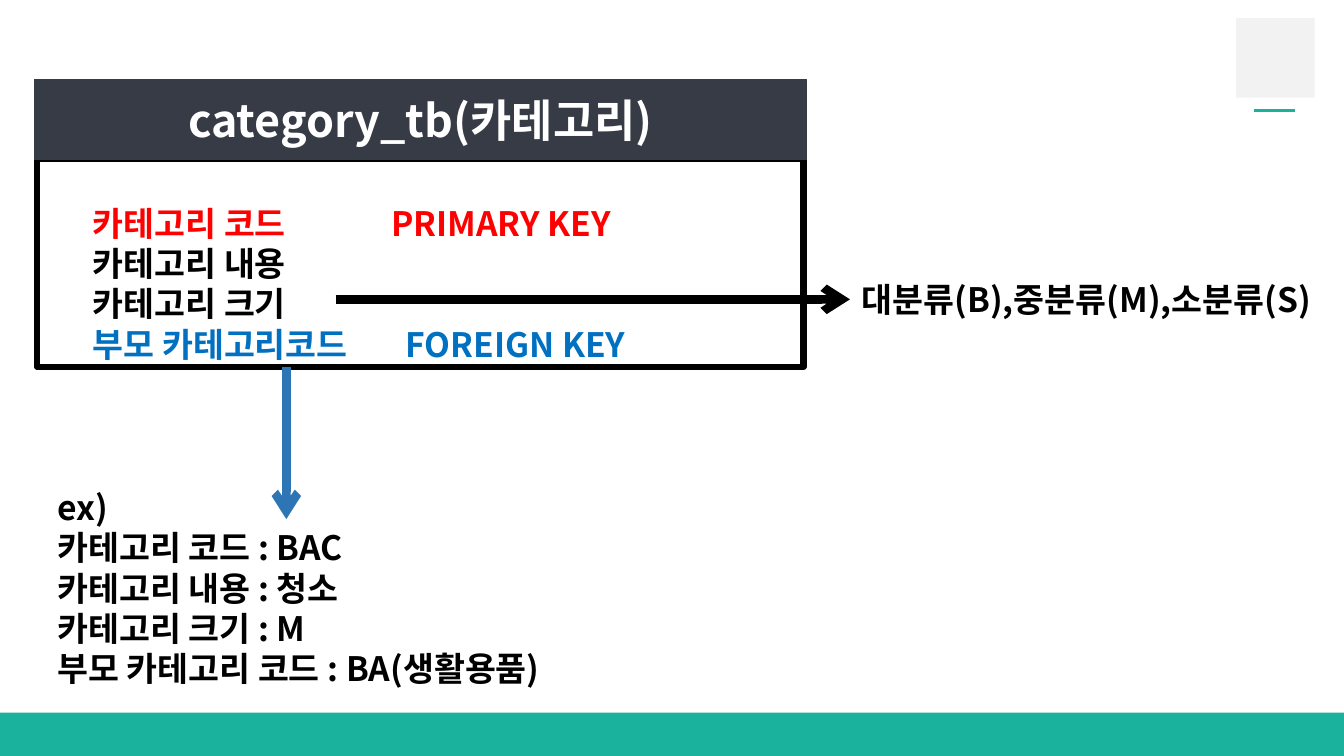
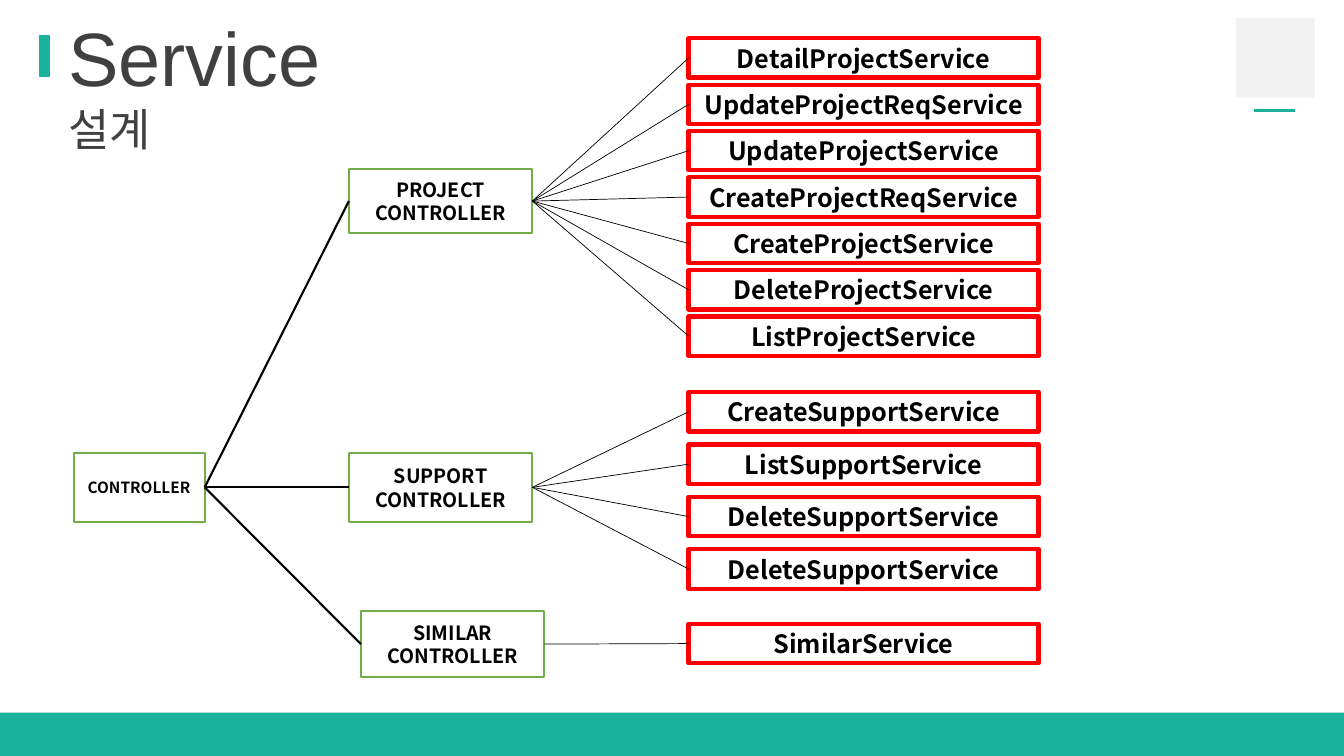
from dataclasses import dataclass

from lxml import etree
from pptx import Presentation
from pptx.dml.color import RGBColor
from pptx.enum import shapes, text
from pptx.oxml import ns
from pptx.util import Inches, Pt

COLORS = {
    "teal": "1AB29D", "silver": "BFBFBF", "gray": "404040", "navy": "373B46",
    "white": "FFFFFF", "black": "000000", "red": "FF0000", "blue": "0070C0",
    "arrow_blue": "2E75B6", "green": "70AD47",
}
KOREAN_FONT = "Noto Sans CJK KR"
LEFT, RIGHT = 1, 3


@dataclass
class Style:
    size: float
    color: str = "black"
    bold: bool = True
    name: str = KOREAN_FONT
    outline: bool = False


@dataclass
class Frame:
    left: float
    top: float
    width: float
    height: float

    def lengths(self) -> list:
        return [Inches(n) for n in (self.left, self.top, self.width, self.height)]


@dataclass
class Branch:
    label: str
    frame: Frame
    first_top: float
    pitch: float
    services: list[str]


BRANCHES = [
    Branch("PROJECT CONTROLLER", Frame(3.46, 1.68, 1.82, 0.63), 0.38, 0.46, [
        "DetailProjectService", "UpdateProjectReqService", "UpdateProjectService",
        "CreateProjectReqService", "CreateProjectService", "DeleteProjectService",
        "ListProjectService"]),
    Branch("SUPPORT CONTROLLER", Frame(3.46, 4.49, 1.82, 0.69), 3.89, 0.52, [
        "CreateSupportService", "ListSupportService", "DeleteSupportService",
        "DeleteSupportService"]),
    Branch("SIMILAR CONTROLLER", Frame(3.58, 6.06, 1.82, 0.66), 6.19, 0, ["SimilarService"]),
]


# Shared drawing helpers
def rgb(color: str) -> RGBColor:
    return RGBColor.from_string(COLORS[color])


def add_alpha(parent, percent: int) -> None:
    """Make the solid colour found under an element translucent."""
    value = next(parent.iter(ns.qn("a:srgbClr")))
    etree.SubElement(value, ns.qn("a:alpha")).set("val", str(percent * 1000))


def format_span(span, style: Style) -> None:
    font = span.font
    font.size, font.bold, font.name = Pt(style.size), style.bold, style.name
    font.color.rgb = rgb(style.color)
    properties = font._element
    east_asian = etree.Element(ns.qn("a:ea"))
    east_asian.set("typeface", KOREAN_FONT)
    properties.find(ns.qn("a:latin")).addnext(east_asian)
    if style.outline:
        line = etree.Element(ns.qn("a:ln"))
        line.set("w", str(Pt(0.75)))
        fill = etree.SubElement(line, ns.qn("a:solidFill"))
        etree.SubElement(fill, ns.qn("a:srgbClr")).set("val", COLORS[style.color])
        add_alpha(line, 30)
        properties.insert(0, line)


def add_span(para, wording: str, style: Style) -> None:
    span = para.add_run()
    span.text = wording
    format_span(span, style)


def write_lines(frame, wording: str, style: Style, align=text.PP_ALIGN.LEFT) -> None:
    frame.text = wording
    frame.word_wrap = True
    for para in frame.paragraphs:
        para.alignment = align
        for span in para.runs:
            format_span(span, style)


def add_box(parent, frame: Frame, fill: str, line: str = "", width: float = 1,
            kind=shapes.MSO_SHAPE.RECTANGLE):
    box = parent.shapes.add_shape(kind, *frame.lengths())
    box.shadow.inherit = False
    box.fill.solid()
    box.fill.fore_color.rgb = rgb(fill)
    if line:
        box.line.color.rgb = rgb(line)
        box.line.width = Pt(width)
    else:
        box.line.fill.background()
    return box


def add_label_box(parent, frame: Frame, wording: str, style: Style, line: str,
                  width: float, fill: str = "white"):
    box = add_box(parent, frame, fill, line, width)
    box.text_frame.vertical_anchor = text.MSO_ANCHOR.MIDDLE
    write_lines(box.text_frame, wording, style, text.PP_ALIGN.CENTER)
    return box


def add_text(page, frame: Frame, wording: str = "", style: Style = Style(24)):
    box = page.shapes.add_textbox(*frame.lengths())
    write_lines(box.text_frame, wording, style)
    return box.text_frame


def add_line(page, start: tuple, end: tuple, color: str, width: float, arrow: bool = False):
    line = page.shapes.add_connector(
        shapes.MSO_CONNECTOR.STRAIGHT, *[Inches(n) for n in (*start, *end)])
    line.line.color.rgb = rgb(color)
    line.line.width = Pt(width)
    if arrow:
        etree.SubElement(line.line._get_or_add_ln(), ns.qn("a:tailEnd")).set("type", "arrow")
    etree.SubElement(line._element.spPr, ns.qn("a:effectLst"))
    return line


def join(page, source, target, width: float) -> None:
    line = add_line(page, (0, 0), (0, 0), "black", width)
    line.begin_connect(source, RIGHT)
    line.end_connect(target, LEFT)


def add_page(deck):
    """Blank page with the footer band and the corner ornament."""
    page = deck.slides.add_slide(deck.slide_layouts[6])
    add_box(page, Frame(0, 7.07, 13.33, 0.43), "teal")
    ornament = add_box(page, Frame(12.26, 0.18, 0.78, 0.79), "silver")
    add_alpha(ornament._element.spPr, 20)
    add_line(page, (12.44, 1.1), (12.84, 1.1), "teal", 2)
    return page


# Slide 1: category table
def add_tab_stop(para, position: float) -> None:
    stops = etree.SubElement(para._p.get_or_add_pPr(), ns.qn("a:tabLst"))
    stop = etree.SubElement(stops, ns.qn("a:tab"))
    stop.set("pos", str(Inches(position)))
    stop.set("algn", "l")


def build_category(deck) -> None:
    page = add_page(deck)
    table = page.shapes.add_group_shape()
    body = add_box(table, Frame(0.37, 1.58, 7.6, 2.06), "white", "black", 4.5)
    frame = body.text_frame
    frame.vertical_anchor = text.MSO_ANCHOR.TOP
    frame.margin_left, frame.margin_top = Inches(0.55), Inches(0.43)
    write_lines(frame, "카테고리 코드\tPRIMARY KEY\n카테고리 내용\n카테고리 크기\n"
                       "부모 카테고리코드\tFOREIGN KEY", Style(24))
    for row, stop, color in ((0, 2.96, "red"), (3, 3.1, "blue")):
        para = frame.paragraphs[row]
        add_tab_stop(para, stop)
        for span in para.runs:
            span.font.color.rgb = rgb(color)
    add_label_box(table, Frame(0.34, 0.79, 7.66, 0.79), "category_tb(카테고리)",
                  Style(32, "white"), "navy", 1, fill="navy")

    # Notes that the arrows lead to
    add_line(page, (2.84, 3.64), (2.84, 5.15), "arrow_blue", 6, arrow=True)
    add_text(page, Frame(0.47, 4.78, 5.5, 2.12),
             "ex)\n카테고리 코드 : BAC\n카테고리 내용 : 청소\n카테고리 크기 : M\n"
             "부모 카테고리 코드 : BA(생활용품)")
    add_line(page, (3.33, 2.97), (8.43, 2.97), "black", 6, arrow=True)
    add_text(page, Frame(8.45, 2.72, 4.98, 0.5), "대분류(B),중분류(M),소분류(S)")


# Slide 2: controllers and their services
def build_services(deck) -> None:
    page = add_page(deck)
    title = add_text(page, Frame(0.58, 0.06, 3.2, 1.5)).paragraphs[0]
    for wording, size in (("Service", 54), (" ", 40), ("설계", 32)):
        add_span(title, wording, Style(size, "gray", False, "Arial", outline=True))
    add_box(page, Frame(0.39, 0.35, 0.1, 0.41), "teal", "teal")

    root = add_label_box(page, Frame(0.73, 4.49, 1.3, 0.69), "CONTROLLER",
                         Style(11), "green", 1.5)
    for branch in BRANCHES:
        controller = add_label_box(page, branch.frame, branch.label, Style(14), "green", 1.5)
        join(page, root, controller, 1.5)
        for index, name in enumerate(branch.services):
            top = branch.first_top + index * branch.pitch
            service = add_label_box(page, Frame(6.83, top, 3.47, 0.39), name,
                                    Style(18), "red", 3)
            join(page, controller, service, 0.5)


def main() -> None:
    deck = Presentation()
    deck.slide_width, deck.slide_height = Inches(13.33), Inches(7.5)
    build_category(deck)
    build_services(deck)
    deck.save("out.pptx")


if __name__ == "__main__":
    main()
